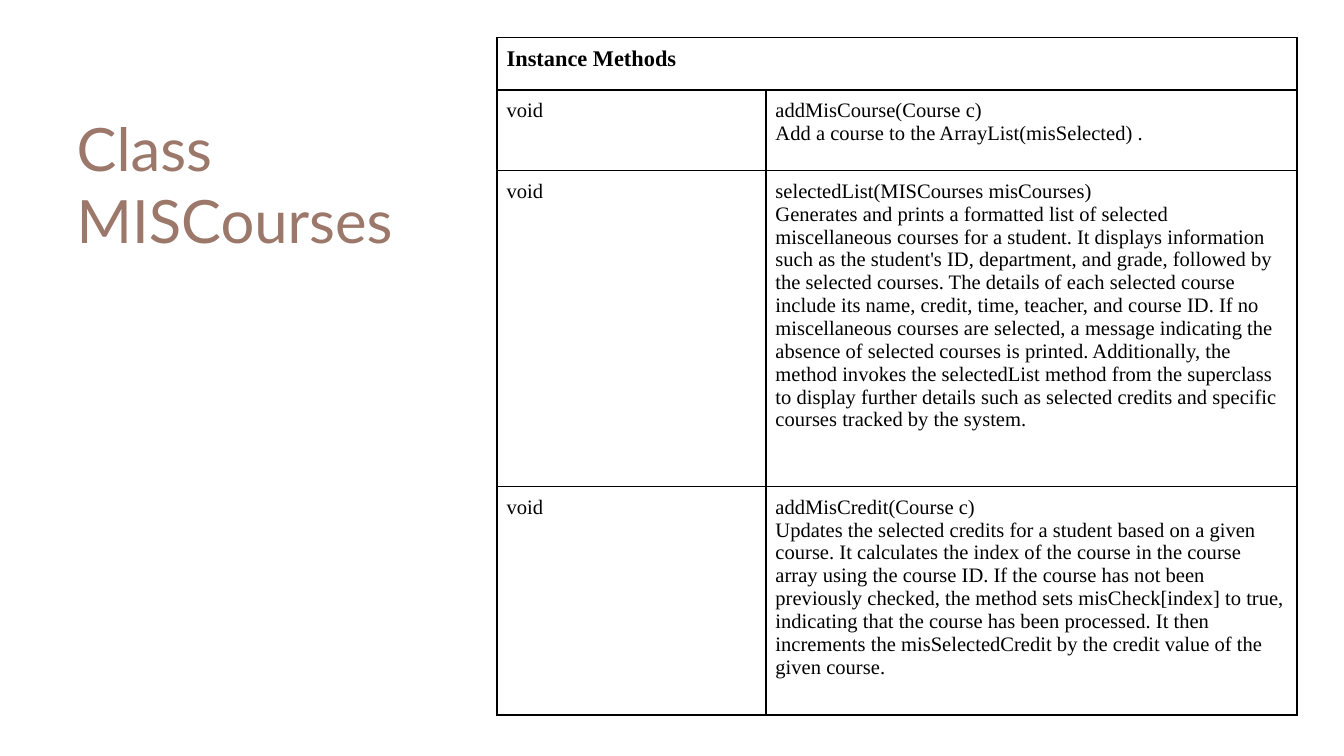
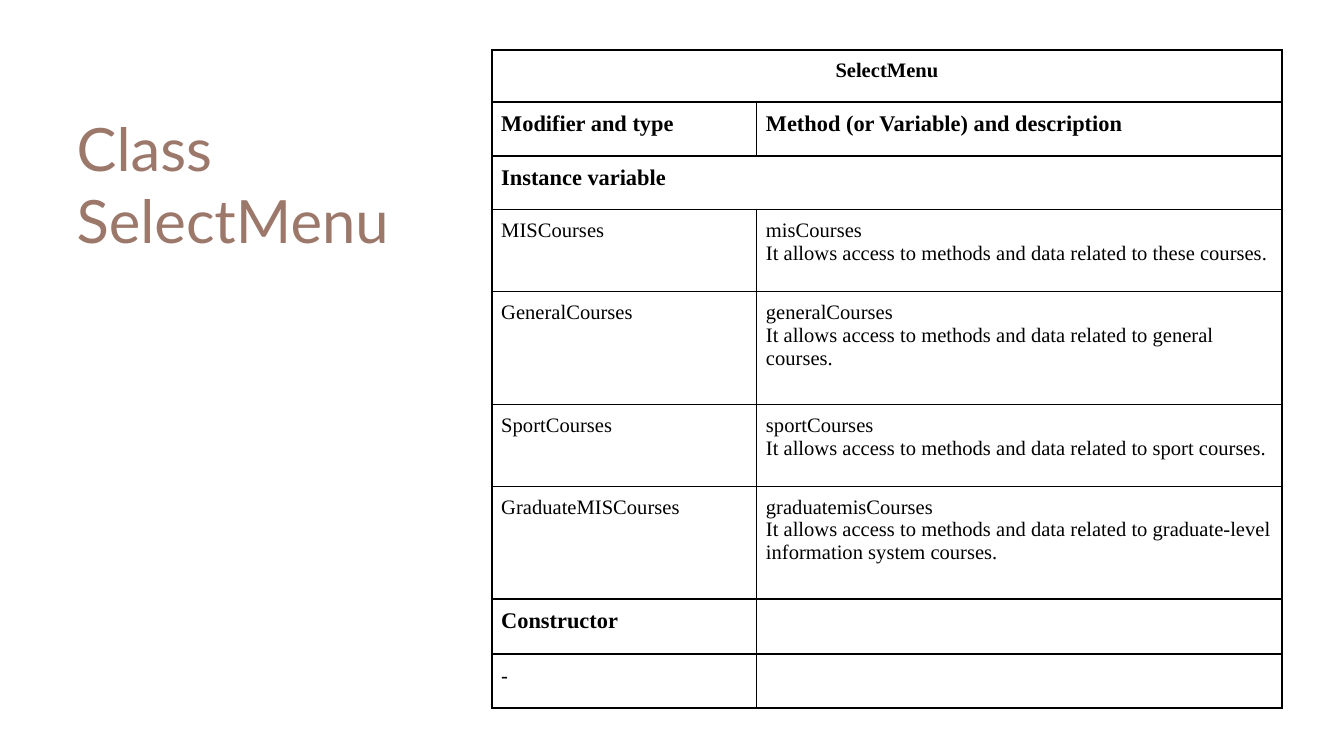
"""Build two slides that document the classes MISCourses and SelectMenu."""
from lxml.etree import SubElement
from pptx import Presentation
from pptx.dml.color import RGBColor
from pptx.enum.text import MSO_ANCHOR, MSO_AUTO_SIZE, PP_ALIGN
from pptx.oxml.ns import qn
from pptx.util import Inches, Pt

THEME = {
    "paper": RGBColor.from_string("FFFFFF"),
    "ink": RGBColor.from_string("000000"),
    "title_ink": RGBColor.from_string("9C786B"),
    "title": {"name": "Lato", "size": Pt(32), "bold": False},
    "heading": {"name": "Times New Roman", "size": Pt(12), "bold": True},
    "caption": {"name": "Times New Roman", "size": Pt(11), "bold": True},
    "entry": {"name": "Times New Roman", "size": Pt(11), "bold": False},
    "dash": {"name": "Calibri", "size": Pt(12), "bold": False},
    "rule": Pt(1),
    "cell_margin": Inches(0.07),
}

CLASSES = [
    {
        "title": "Class\nMISCourses",
        "corner": (3.7, 0.28),
        "columns": (2, 3.95),
        "rows": [
            (0.39, "heading", ["Instance Methods"]),
            (0.6, "entry", ["void", "addMisCourse(Course c)\nAdd a course to the ArrayList(misSelected) ."]),
            (2.35, "entry", [
                "void",
                "selectedList(MISCourses misCourses)\n"
                "Generates and prints a formatted list of selected miscellaneous courses for a student. "
                "It displays information such as the student's ID, department, and grade, followed by "
                "the selected courses. The details of each selected course include its name, credit, "
                "time, teacher, and course ID. If no miscellaneous courses are selected, a message "
                "indicating the absence of selected courses is printed. Additionally, the method invokes "
                "the selectedList method from the superclass to display further details such as selected "
                "credits and specific courses tracked by the system.",
            ]),
            (1.7, "entry", [
                "void",
                "addMisCredit(Course c)\n"
                "Updates the selected credits for a student based on a given course. It calculates the "
                "index of the course in the course array using the course ID. If the course has not been "
                "previously checked, the method sets misCheck[index] to true, indicating that the course "
                "has been processed. It then increments the misSelectedCredit by the credit value of the "
                "given course.",
            ]),
        ],
    },
    {
        "title": "Class\nSelectMenu",
        "corner": (3.66, 0.37),
        "columns": (1.97, 3.91),
        "rows": [
            (0.39, "caption", ["SelectMenu"]),
            (0.4, "heading", ["Modifier and type", "Method (or Variable) and description"]),
            (0.4, "heading", ["Instance variable"]),
        ] + [
            (height, "entry", [
                kind,
                f"{variable}\nIt allows access to methods and data related to {subject} courses.",
            ])
            for height, kind, variable, subject in [
                (0.61, "MISCourses", "misCourses", "these"),
                (0.84, "GeneralCourses", "generalCourses", "general"),
                (0.61, "SportCourses", "sportCourses", "sport"),
                (0.84, "GraduateMISCourses", "graduatemisCourses", "graduate-level information system"),
            ]
        ] + [
            (0.4, "heading", ["Constructor", ""]),
            (0.4, "dash", ["-", ""]),
        ],
    },
]


def write(frame, text, style, color, align):
    """Fill a text frame with styled paragraphs."""
    frame.text = text
    for paragraph in frame.paragraphs:
        paragraph.alignment = align
        for run in paragraph.runs:
            run.font.color.rgb = color
            for attribute, value in THEME[style].items():
                setattr(run.font, attribute, value)


def rule_cell(cell):
    """Draw the four borders of a cell and paint its ground."""
    properties = cell._tc.get_or_add_tcPr()
    for side in ("a:lnL", "a:lnR", "a:lnT", "a:lnB"):
        line = SubElement(properties, qn(side), w=str(THEME["rule"]))
        SubElement(SubElement(line, qn("a:solidFill")), qn("a:srgbClr"), val=str(THEME["ink"]))
    cell.fill.solid()
    cell.fill.fore_color.rgb = THEME["paper"]


deck = Presentation()
deck.slide_width, deck.slide_height = Inches(10), Inches(10 * 9 / 16)

for entry in CLASSES:
    slide = deck.slides.add_slide(deck.slide_layouts[5])
    slide.background.fill.solid()
    slide.background.fill.fore_color.rgb = THEME["paper"]
    title = slide.shapes.title
    title.left, title.top, title.width, title.height = map(Inches, (0.47, 1, 4.99, 0.73))
    write(title.text_frame, entry["title"], "title", THEME["title_ink"], PP_ALIGN.LEFT)
    title_format = {
        "word_wrap": True, "auto_size": MSO_AUTO_SIZE.NONE, "vertical_anchor": MSO_ANCHOR.MIDDLE,
        **{f"margin_{side}": Inches(0.1) for side in ("left", "right", "top", "bottom")},
    }
    for attribute, value in title_format.items():
        setattr(title.text_frame, attribute, value)

    rows, columns = entry["rows"], entry["columns"]
    left, top = entry["corner"]
    methods = slide.shapes.add_table(
        len(rows), len(columns), Inches(left), Inches(top),
        Inches(sum(columns)), Inches(sum(row[0] for row in rows)),
    ).table
    methods.first_row = methods.horz_banding = False
    for column, width in zip(methods.columns, columns):
        column.width = Inches(width)

    for index, (height, style, texts) in enumerate(rows):
        methods.rows[index].height = Inches(height)
        for cell in methods.rows[index].cells:
            rule_cell(cell)
        if len(texts) == 1:
            methods.cell(index, 0).merge(methods.cell(index, 1))
        align = PP_ALIGN.CENTER if style == "caption" else PP_ALIGN.LEFT
        for cell, text in zip(methods.rows[index].cells, texts):
            if text:
                write(cell.text_frame, text, style, THEME["ink"], align)
                for side in ("left", "right", "top", "bottom"):
                    setattr(cell, f"margin_{side}", THEME["cell_margin"])

deck.save("out.pptx")
